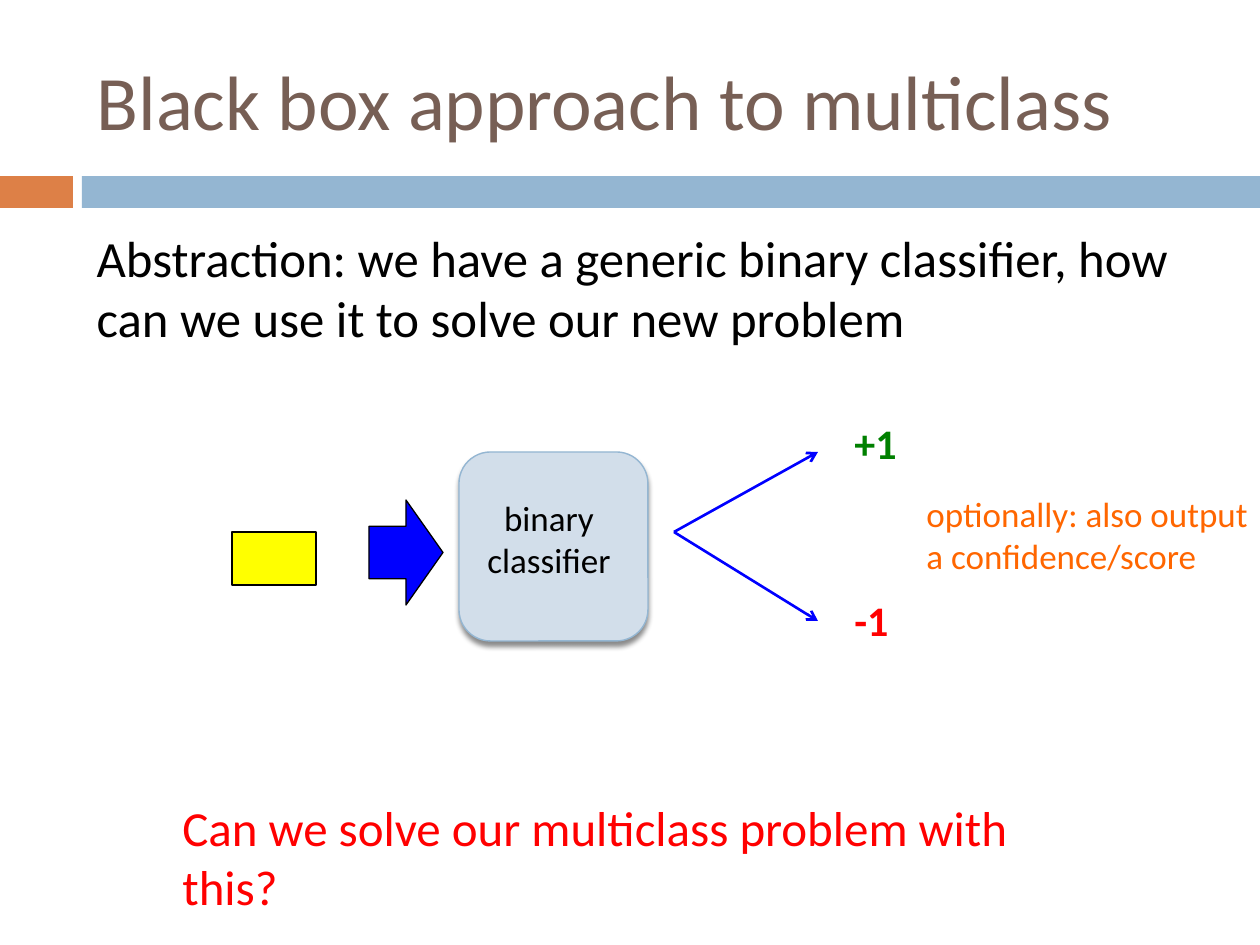
from lxml.etree import SubElement
from pptx import Presentation
from pptx.dml.color import RGBColor
from pptx.enum.shapes import MSO_CONNECTOR, MSO_SHAPE
from pptx.enum.text import MSO_ANCHOR, MSO_AUTO_SIZE, PP_ALIGN
from pptx.oxml.ns import qn
from pptx.util import Emu, Pt

FONT = "Calibri"
COLOURS = {
    "title": "775F55", "text": "000000", "accent": "DD8047", "band": "94B6D2",
    "example": "FFFF00", "flow": "0000FF", "box": "D2DEEA",
    "positive": "008000", "negative": "FF0000", "option": "FF6600",
}


def px(length):
    """Turn pixels into EMU."""
    return Emu(round(length * 914400 / 126))


def rgb(name):
    """Look up a colour by its role."""
    return RGBColor.from_string(COLOURS[name])


def write(frame, text, size, colour, bold=False, align=PP_ALIGN.LEFT):
    """Fill a text frame with one formatted paragraph."""
    frame.text = text
    paragraph = frame.paragraphs[0]
    paragraph.alignment = align
    font = paragraph.runs[0].font
    font.name, font.size, font.bold = FONT, Pt(size), bold
    font.color.rgb = rgb(colour)
    return paragraph


def fill_placeholder(placeholder, bounds, text, size, colour, anchor):
    """Move a placeholder and write its text without a bullet."""
    placeholder.left, placeholder.top, placeholder.width, placeholder.height = map(px, bounds)
    frame = placeholder.text_frame
    paragraph = write(frame, text, size, colour)
    frame.auto_size = MSO_AUTO_SIZE.NONE
    frame.vertical_anchor = anchor
    properties = paragraph._p.get_or_add_pPr()
    properties.set("marL", "0")
    properties.set("indent", "0")
    SubElement(properties, qn("a:buNone"))
    return paragraph


def add_block(shapes, kind, bounds, fill, line=None, width=0.75):
    """Add a flat preset shape with an optional outline."""
    block = shapes.add_shape(kind, *map(px, bounds))
    block.fill.solid()
    block.fill.fore_color.rgb = rgb(fill)
    if line:
        block.line.color.rgb = rgb(line)
        block.line.width = Pt(width)
    else:
        block.line.fill.background()
    block.shadow.inherit = False
    return block


def add_drop_shadow(block):
    """Cast a soft black shadow straight down."""
    effects = block._element.spPr.find(qn("a:effectLst"))
    shadow = SubElement(effects, qn("a:outerShdw"), blurRad=str(Pt(3)),
                        dist=str(Pt(2.4)), dir="5400000", rotWithShape="0")
    black = SubElement(shadow, qn("a:srgbClr"), val=COLOURS["text"])
    SubElement(black, qn("a:alpha"), val="45000")


def add_label(shapes, bounds, text, size, colour, wrap=True, **style):
    """Add a text box that grows with its text."""
    frame = shapes.add_textbox(*map(px, bounds)).text_frame
    frame.word_wrap = wrap
    frame.auto_size = MSO_AUTO_SIZE.SHAPE_TO_FIT_TEXT
    write(frame, text, size, colour, **style)


def add_arrow(shapes, start, end):
    """Add a straight line with an open arrowhead at its end."""
    arrow = shapes.add_connector(MSO_CONNECTOR.STRAIGHT, *map(px, start + end))
    arrow.line.color.rgb = rgb("flow")
    arrow.line.width = Pt(1.5)
    SubElement(arrow.line._get_or_add_ln(), qn("a:tailEnd"), type="arrow")
    SubElement(arrow._element.spPr, qn("a:effectLst"))


def add_classifier(shapes):
    """Add the grouped classifier box and its label."""
    members = shapes.add_group_shape().shapes
    box = add_block(members, MSO_SHAPE.ROUNDED_RECTANGLE, (459, 452, 189, 189),
                    "box", "band", 0.79)
    add_drop_shadow(box)
    add_label(members, (450, 490, 198, 97), "binary classifier", 20, "text",
              align=PP_ALIGN.CENTER)


def add_outcomes(shapes):
    """Add an arrow and a label for each class."""
    outcomes = (("+1", "positive", 452, 411), ("-1", "negative", 621, 588))
    for text, colour, tip, top in outcomes:
        add_arrow(shapes, (674, 532), (818, tip))
        add_label(shapes, (842, top, 77, 63), text, 24, colour, wrap=False, bold=True)


def main():
    """Build the slide and save it."""
    deck = Presentation()
    deck.slide_width, deck.slide_height = px(1260), px(945)
    slide = deck.slides.add_slide(deck.slide_layouts[1])
    shapes = slide.shapes
    title, body = slide.placeholders

    add_block(shapes, MSO_SHAPE.RECTANGLE, (0, 176, 73, 32), "accent")
    add_block(shapes, MSO_SHAPE.RECTANGLE, (82, 176, 1178, 32), "band")
    fill_placeholder(title, (84, 32, 1124, 136), "Black box approach to multiclass",
                     44, "title", MSO_ANCHOR.MIDDLE)
    abstraction = fill_placeholder(
        body, (84, 220, 1124, 155),
        "Abstraction: we have a generic binary classifier, how can we use it "
        "to solve our new problem", 29, "text", MSO_ANCHOR.TOP)
    abstraction.space_before = Pt(7)

    add_block(shapes, MSO_SHAPE.RECTANGLE, (232, 532, 84, 53), "example", "text")
    add_block(shapes, MSO_SHAPE.RIGHT_ARROW, (369, 500, 74, 105), "flow", "text")
    add_classifier(shapes)
    add_outcomes(shapes)
    add_label(shapes, (914, 486, 359, 97), "optionally: also output a confidence/score",
              20, "option")
    add_label(shapes, (170, 791, 925, 72), "Can we solve our multiclass problem with this?",
              28, "negative")
    deck.save("out.pptx")


if __name__ == "__main__":
    main()
